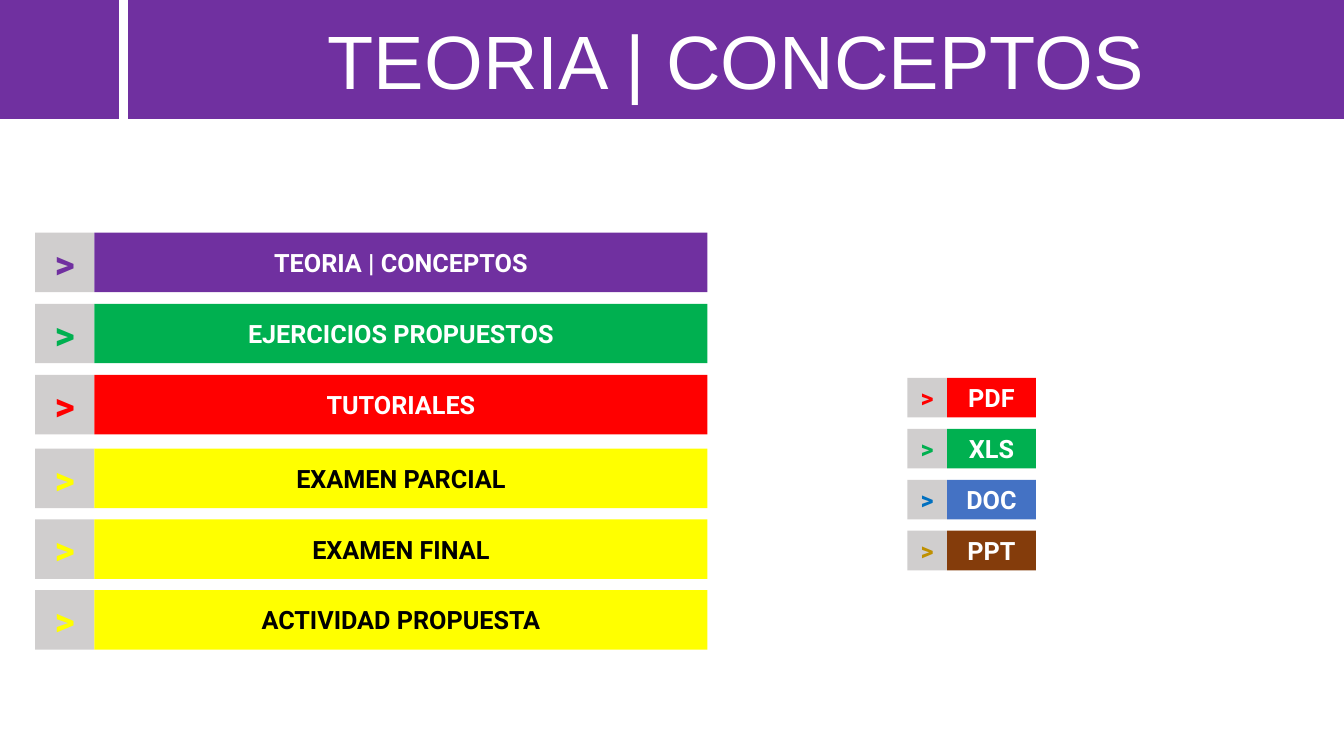
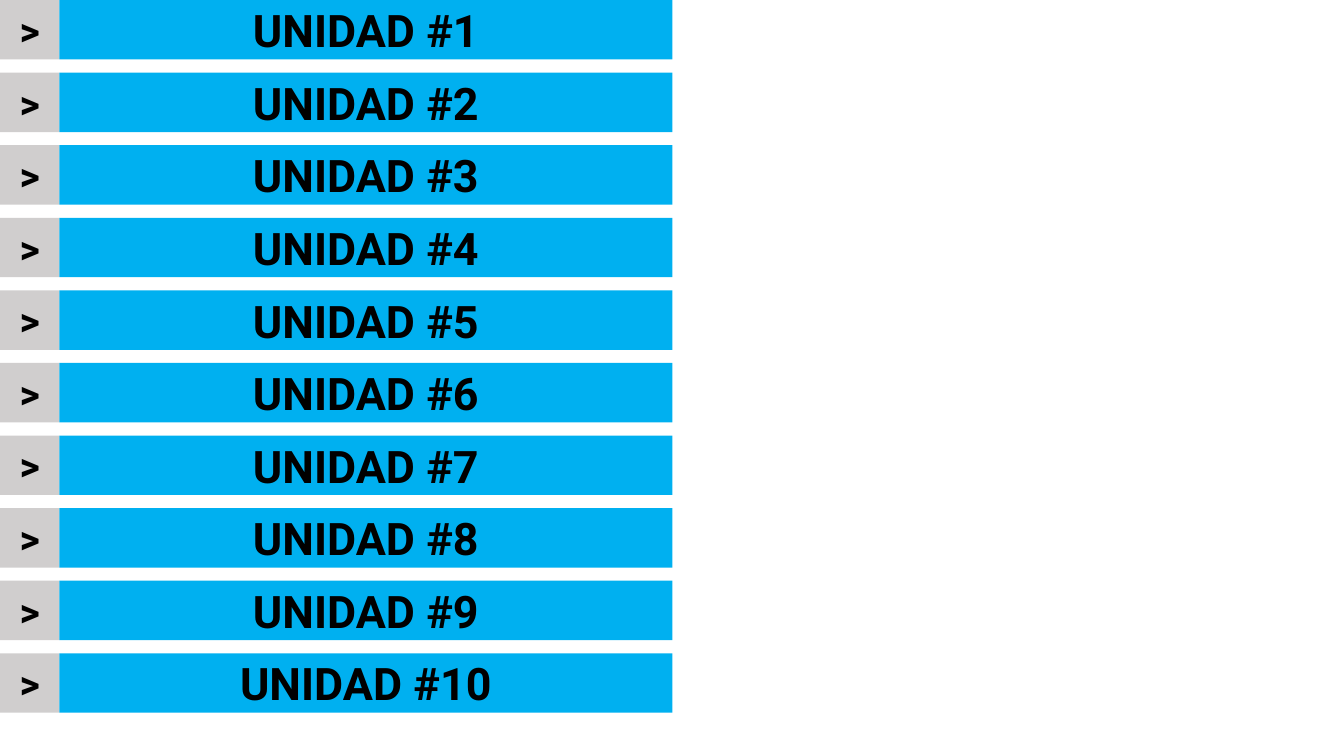
"""Build a course menu slide and a unit list slide."""
from pptx import Presentation
from pptx.dml.color import RGBColor as RGB
from pptx.enum.shapes import MSO_SHAPE as Shape
from pptx.enum.text import MSO_ANCHOR as Anchor, PP_ALIGN as Align
from pptx.util import Pt

WHITE = RGB(0xFF, 0xFF, 0xFF)
BLACK = RGB(0x00, 0x00, 0x00)
GREY = RGB(0xD0, 0xCE, 0xCE)
PURPLE = RGB(0x70, 0x30, 0xA0)
GREEN = RGB(0x00, 0xB0, 0x50)
RED = RGB(0xFF, 0x00, 0x00)
YELLOW = RGB(0xFF, 0xFF, 0x00)
SKY = RGB(0x00, 0xB0, 0xF0)
BLUE = RGB(0x44, 0x72, 0xC4)
NAVY = RGB(0x00, 0x70, 0xC0)
BROWN = RGB(0x84, 0x3C, 0x0B)
GOLD = RGB(0xBF, 0x90, 0x00)

WIDE, HIGH = 960, 540
BAND, GAP = 85, 6.5
TALL, LONG = 42.5, 437.75
SMALL, SHORT = 28.3, 63.4


def box(slide, text, left, top, width, height, fill, size=18, color=WHITE,
        font="Roboto", bold=True):
    rect = slide.shapes.add_shape(
        Shape.RECTANGLE, Pt(left), Pt(top), Pt(width), Pt(height))
    rect.shadow.inherit = False
    rect.fill.solid()
    rect.fill.fore_color.rgb = fill
    rect.line.fill.background()
    if text:
        frame = rect.text_frame
        frame.word_wrap = True
        frame.vertical_anchor = Anchor.MIDDLE
        para = frame.paragraphs[0]
        para.alignment = Align.CENTER
        run = para.add_run()
        run.text = text
        run.font.name = font
        run.font.size = Pt(size)
        run.font.bold = bold
        run.font.color.rgb = color


def row(slide, text, left, top, side, width, fill, mark, sign=28, **style):
    box(slide, ">", left, top, side, side, GREY, size=sign, color=mark)
    box(slide, text, left + side, top, width, side, fill, **style)


deck = Presentation()
deck.slide_width, deck.slide_height = Pt(WIDE), Pt(HIGH)
blank = deck.slide_layouts[6]

menu = deck.slides.add_slide(blank)
start = BAND + GAP
box(menu, "", 0, 0, BAND, BAND, PURPLE)
box(menu, "TEORIA | CONCEPTOS", start, 0, WIDE - start, BAND, PURPLE,
    size=54, font="Arial", bold=False)

topics = [
    ("TEORIA | CONCEPTOS", PURPLE),
    ("EJERCICIOS PROPUESTOS", GREEN),
    ("TUTORIALES", RED),
]
for i, (name, fill) in enumerate(topics):
    row(menu, name, 25, 166.2 + i * 50.8, TALL, LONG, fill, fill)

tasks = ["EXAMEN PARCIAL", "EXAMEN FINAL", "ACTIVIDAD PROPUESTA"]
for i, name in enumerate(tasks):
    row(menu, name, 25, 320.5 + i * 50.5, TALL, LONG, YELLOW, YELLOW,
        color=BLACK)

files = [
    ("PDF", RED, RED),
    ("XLS", GREEN, GREEN),
    ("DOC", BLUE, NAVY),
    ("PPT", BROWN, GOLD),
]
for i, (name, fill, mark) in enumerate(files):
    row(menu, name, 648.2, 269.9 + i * 36.4, SMALL, SHORT, fill, mark, sign=18)

units = deck.slides.add_slide(blank)
for i in range(10):
    row(units, f"UNIDAD #{i + 1}", 0, i * 51.85, TALL, LONG, SKY, BLACK,
        size=32, color=BLACK)

deck.save("out.pptx")
